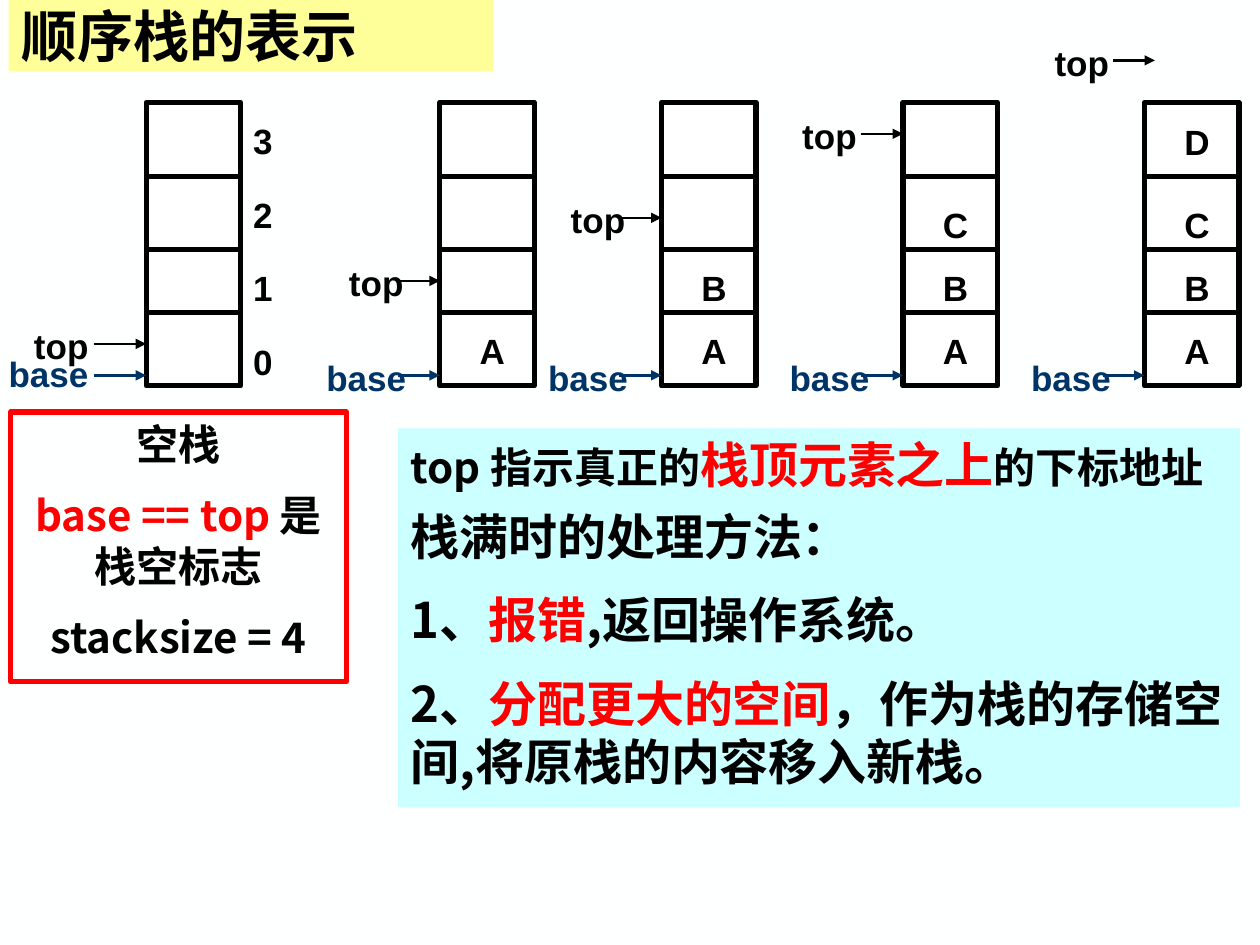
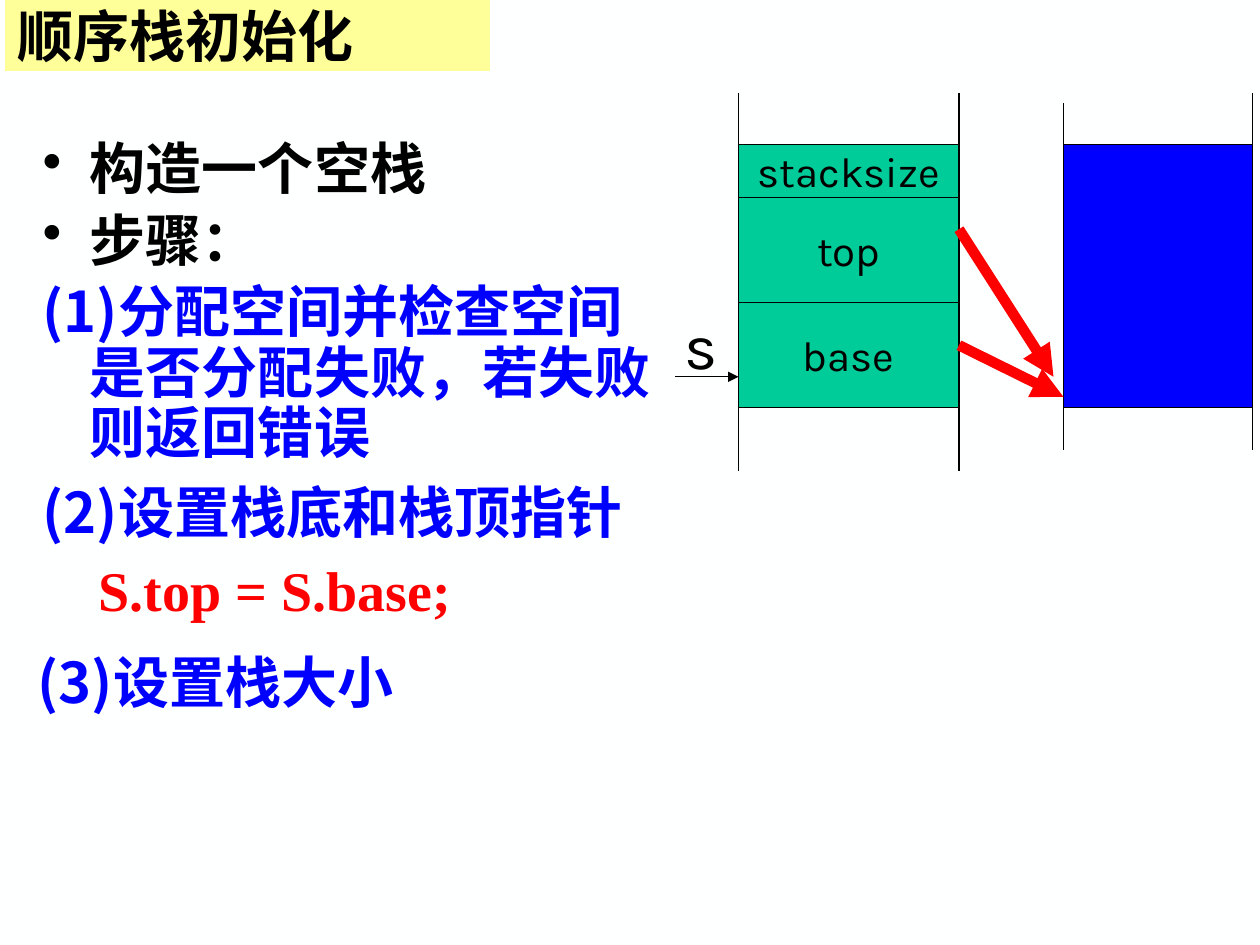
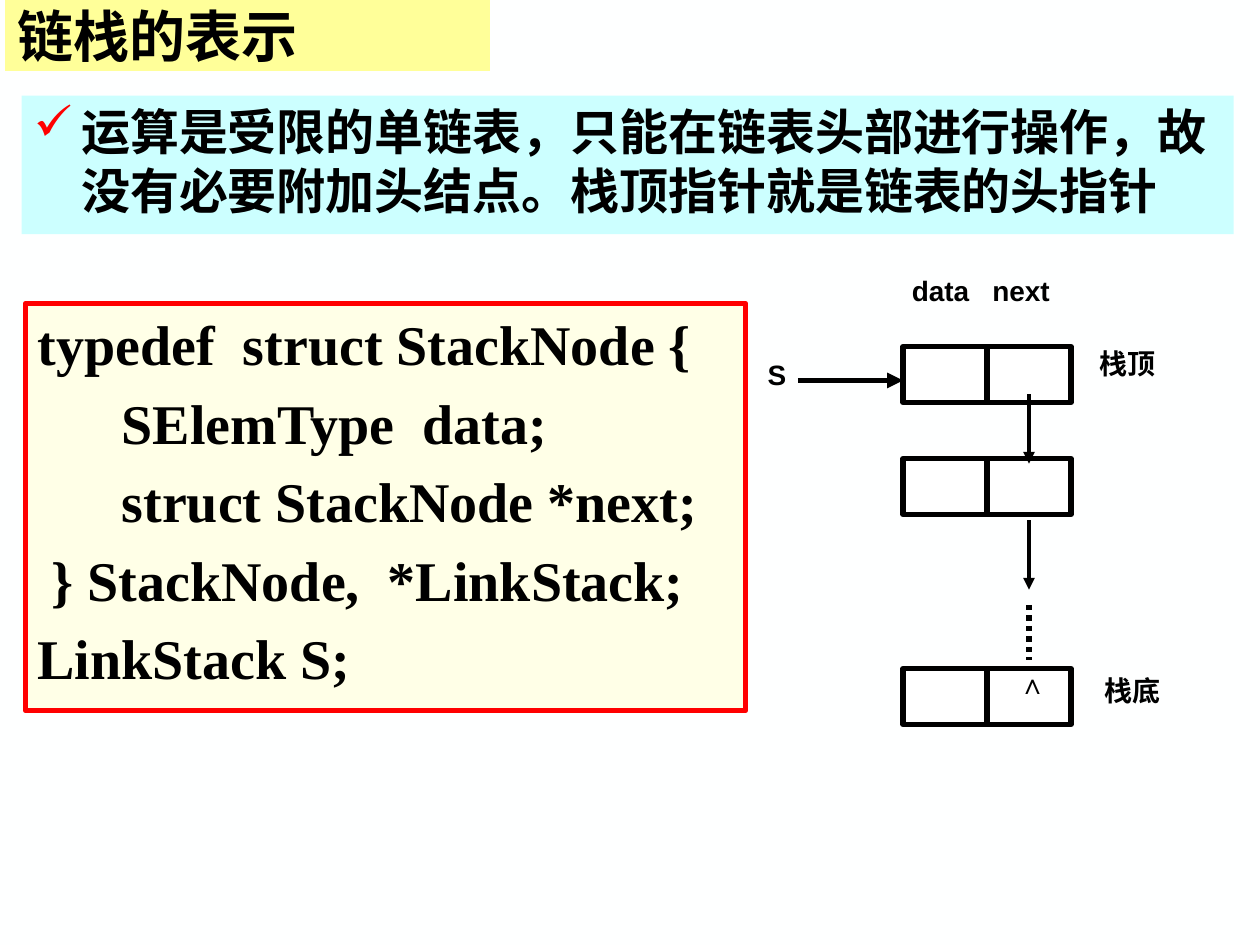
"""Build three slides on sequential and linked stacks."""
from dataclasses import dataclass
from typing import NamedTuple

from lxml.etree import SubElement
from pptx import Presentation
from pptx.dml.color import RGBColor
from pptx.enum.dml import MSO_LINE
from pptx.enum.shapes import MSO_CONNECTOR, MSO_SHAPE
from pptx.enum.text import MSO_ANCHOR, PP_ALIGN
from pptx.oxml.ns import qn
from pptx.util import Pt

COLORS = {
    "paper": "FEFFFF", "band": "FFFF99", "panel": "CCFFFF", "code": "FFFFE7",
    "white": "FFFFFF", "black": "000000", "red": "FF0000", "navy": "003366",
    "blue": "0000FF", "green": "00CC99",
}
HAN, ARIAL, KARLA, TIMES = "Noto Sans CJK SC", "Arial", "Karla", "Times New Roman"
HANG = 27


class Part(NamedTuple):
    """A stretch of text with its own colour or size."""
    text: str
    color: str = "black"
    size: float | None = None


@dataclass(frozen=True)
class Stack:
    """One state of the four-cell stack and its two pointers."""
    left: float
    items: str
    top_y: float
    top_center: float
    base_center: float = -42
    base_label_y: float = 200
    arrow: float = 24
    top_tip: float = 0


@dataclass(frozen=True)
class Field:
    """One member of the stack record."""
    name: str
    y: float
    height: float


STACKS = [
    Stack(83.5, "", 196.5, -48.5, -55.8, 198, 30),
    Stack(251.3, "A", 160.5, -36.3),
    Stack(378, "AB", 124.5, -36.3),
    Stack(516, "ABC", 76.5, -42),
    Stack(654, "ABCD", 34.5, -35.8, top_tip=6),
]
FIELDS = [Field("stacksize", 82.8, 30), Field("top", 112.8, 60), Field("base", 172.8, 60)]


def rgb(name: str) -> RGBColor:
    """Look up a colour by name."""
    return RGBColor.from_string(COLORS[name])


def write(frame, text: str | list[Part], *, size: float = 20, font: str = HAN,
          color: str = "black", bold: bool = True, align=PP_ALIGN.LEFT,
          before: float = 0, hang: float = 0, spacing: float | None = None,
          bullet: str = "", bullet_color: str = "black") -> None:
    """Add one formatted paragraph to a text frame."""
    first = not frame.text
    paragraph = frame.paragraphs[0] if first else frame.add_paragraph()
    paragraph.alignment = align
    if not first:
        paragraph.space_before = Pt(before)
    if spacing:
        paragraph.line_spacing = spacing
    properties = paragraph._p.get_or_add_pPr()
    if hang:
        properties.set("marL", str(Pt(hang)))
        properties.set("indent", str(-Pt(hang)))
    if bullet:
        tint = SubElement(properties, qn("a:buClr"))
        SubElement(tint, qn("a:srgbClr")).set("val", COLORS[bullet_color])
        SubElement(properties, qn("a:buChar")).set("char", bullet)
    for part in [Part(text, color)] if isinstance(text, str) else text:
        run = paragraph.add_run()
        run.text = part.text
        run.font.size = Pt(part.size or size)
        run.font.bold = bold
        run.font.name = font
        run.font.color.rgb = rgb(part.color)
        SubElement(run._r.get_or_add_rPr(), qn("a:ea")).set("typeface", HAN)


def area(slide, x: float, y: float, width: float, height: float, inset: float = 7.2):
    """Add a text box and return its text frame."""
    frame = slide.shapes.add_textbox(Pt(x), Pt(y), Pt(width), Pt(height)).text_frame
    frame.word_wrap = True
    frame.margin_left = frame.margin_right = Pt(inset)
    return frame


def block(slide, x: float, y: float, width: float, height: float, *,
          fill: str = "", line: str = "", weight: float = 3, anchor=MSO_ANCHOR.TOP):
    """Add a flat rectangle."""
    shape = slide.shapes.add_shape(MSO_SHAPE.RECTANGLE, Pt(x), Pt(y), Pt(width), Pt(height))
    shape.shadow.inherit = False
    if fill:
        shape.fill.solid()
        shape.fill.fore_color.rgb = rgb(fill)
    else:
        shape.fill.background()
    if line:
        shape.line.color.rgb = rgb(line)
        shape.line.width = Pt(weight)
    else:
        shape.line.fill.background()
    shape.text_frame.word_wrap = True
    shape.text_frame.vertical_anchor = anchor
    return shape


def connect(slide, x1: float, y1: float, x2: float, y2: float, *, color: str = "black",
            weight: float = 3, arrow: bool = False, dash=None):
    """Add a straight line, with an arrowhead at its end if asked."""
    connector = slide.shapes.add_connector(
        MSO_CONNECTOR.STRAIGHT, Pt(x1), Pt(y1), Pt(x2), Pt(y2))
    connector.line.color.rgb = rgb(color)
    connector.line.width = Pt(weight)
    if dash:
        connector.line.dash_style = dash
    if arrow:
        SubElement(connector.line._get_or_add_ln(), qn("a:tailEnd")).set("type", "triangle")
    SubElement(connector._element.spPr, qn("a:effectLst"))
    return connector


def start_slide(deck, title: str, band_left: float = 3):
    """Add a slide with the shared background and title band."""
    slide = deck.slides.add_slide(deck.slide_layouts[6])
    slide.background.fill.solid()
    slide.background.fill.fore_color.rgb = rgb("paper")
    band = block(slide, band_left, 0, 277, 40.5, fill="band", anchor=MSO_ANCHOR.MIDDLE)
    write(band.text_frame, title, size=32)
    return slide


def draw_stack(slide, stack: Stack) -> None:
    """Draw the cells, items and pointers of one stack."""
    left, width = stack.left, 54
    block(slide, left, 58.5, width, 162, fill="white", line="black")
    for y in (100.8, 142.6, 178.6):
        connect(slide, left, y, left + width, y)
    for item, y in zip(stack.items, (184.5, 148.5, 112.5, 65.5)):
        write(area(slide, left + 6, y, 48, 31), item, font=ARIAL, align=PP_ALIGN.CENTER)
    pointers = [
        ("top", "black", stack.top_y, stack.top_y - 14.4, stack.top_center, stack.top_tip),
        ("base", "navy", 214.5, stack.base_label_y, stack.base_center, 0),
    ]
    for name, color, y, label_y, center, tip in pointers:
        end = left + tip
        connect(slide, end - stack.arrow, y, end, y, color=color, weight=1.5, arrow=True)
        write(area(slide, left + center - 24, label_y, 48, 31, inset=0), name,
              font=ARIAL, color=color, align=PP_ALIGN.CENTER)


def build_states(deck) -> None:
    """Slide on the states of a sequential stack."""
    slide = start_slide(deck, "顺序栈的表示", 5)
    for stack in STACKS:
        draw_stack(slide, stack)
    for index in range(4):
        write(area(slide, 137.5, 190.8 - 42 * index, 24, 31), str(index), font=ARIAL)

    empty = block(slide, 6, 235.5, 192, 154, line="red").text_frame
    for text in ("空栈", [Part("base == top ", "red"), Part("是栈空标志")], "stacksize = 4"):
        write(empty, text, size=24, align=PP_ALIGN.CENTER, before=12)

    meaning = block(slide, 227.5, 244.8, 481, 41, fill="panel").text_frame
    write(meaning, [Part("top 指示真正的"), Part("栈顶元素之上", "red", 28),
                    Part("的下标地址")], size=24)
    overflow = block(slide, 227.5, 285.8, 481, 175.5, fill="panel").text_frame
    for text in (
        "栈满时的处理方法：",
        [Part("1、"), Part("报错", "red"), Part(",返回操作系统。")],
        [Part("2、"), Part("分配更大的空间", "red"),
         Part("，作为栈的存储空间,将原栈的内容移入新栈。")],
    ):
        write(overflow, text, size=28, before=14)


def build_initialisation(deck) -> None:
    """Slide on initialising a sequential stack."""
    slide = start_slide(deck, "顺序栈初始化")
    steps = area(slide, 17.3, 77, 366.5, 191.5)
    for text, color, bullet in (
        ("构造一个空栈", "black", "•"),
        ("步骤：", "black", "•"),
        ("(1)分配空间并检查空间是否分配失败，若失败则返回错误", "blue", ""),
    ):
        write(steps, text, size=32, color=color, before=6.4, hang=HANG,
              spacing=0.9, bullet=bullet)
    pointers = area(slide, 17.3, 269.3, 368.5, 85.7)
    write(pointers, "(2)设置栈底和栈顶指针", size=32, color="blue", hang=HANG)
    write(pointers, "    S.top = S.base;", size=32, font=TIMES, color="red",
          before=6.4, hang=HANG)
    write(area(slide, 14.4, 366.5, 353.5, 41), "(3)设置栈大小", size=32,
          color="blue", hang=HANG)

    for field in FIELDS:
        cell = block(slide, 422, field.y, 126, field.height, fill="green", line="black",
                     weight=0.75, anchor=MSO_ANCHOR.MIDDLE)
        write(cell.text_frame, field.name, size=24, font=KARLA, bold=False,
              align=PP_ALIGN.CENTER)
    block(slide, 607.7, 82.8, 108, 150, fill="blue", line="black", weight=0.75)
    for x, top, bottom in ((422, 53.3, 269.3), (548, 53.3, 269.3),
                           (607.7, 59, 257), (715.7, 53.3, 257)):
        connect(slide, x, top, x, bottom, weight=0.75)
    connect(slide, 386, 215.3, 422, 215.3, weight=0.75, arrow=True)
    write(area(slide, 383.8, 171.4, 31, 50.4), "s", size=36, font=KARLA, bold=False)
    connect(slide, 548, 197.3, 607.7, 226.8, color="red", weight=6, arrow=True)
    connect(slide, 548, 131, 602, 215.3, color="red", weight=6, arrow=True)


def build_linked(deck) -> None:
    """Slide on the linked stack."""
    slide = start_slide(deck, "链栈的表示")
    note = block(slide, 12.3, 54.7, 692.6, 79.2, fill="panel").text_frame
    write(note, "运算是受限的单链表，只能在链表头部进行操作，故没有必要附加头结点。"
          "栈顶指针就是链表的头指针", size=28, font=TIMES, hang=HANG,
          bullet="✓", bullet_color="red")
    code = block(slide, 14.4, 173.5, 411.8, 232.5, fill="code", line="red").text_frame
    for text in ("typedef  struct StackNode {", "      SElemType  data;",
                 "      struct StackNode *next;", " } StackNode,  *LinkStack;",
                 "LinkStack S;"):
        write(code, text, size=32, font=TIMES, before=6.4, hang=HANG)

    for y in (198, 262, 382):
        node = block(slide, 516, y, 96, 32, fill="white", line="black")
        divider = connect(slide, 564, y, 564, y + 32)
        divider.begin_connect(node, 0)
        divider.end_connect(node, 2)
    for text, x, y, width in (
        ("data", 514, 152.6, 50), ("next", 560, 152.6, 52), ("栈顶", 621.5, 194.4, 80),
        ("栈底", 624, 381.6, 80), ("∧", 575, 377.3, 26), ("S", 431.5, 200.9, 26),
    ):
        write(area(slide, x, y, width, 26.6), text, size=16, font=ARIAL)
    for y in (225.4, 297.4):
        connect(slide, 588, y, 588, y + 39.6, weight=2.25, arrow=True)
    connect(slide, 588, 345.6, 588, 377.3, dash=MSO_LINE.ROUND_DOT)
    connect(slide, 456, 217.4, 516, 217.4, arrow=True)


def main() -> None:
    """Build and save the deck."""
    deck = Presentation()
    deck.slide_width, deck.slide_height = Pt(720), Pt(540)
    build_states(deck)
    build_initialisation(deck)
    build_linked(deck)
    deck.save("out.pptx")


if __name__ == "__main__":
    main()
